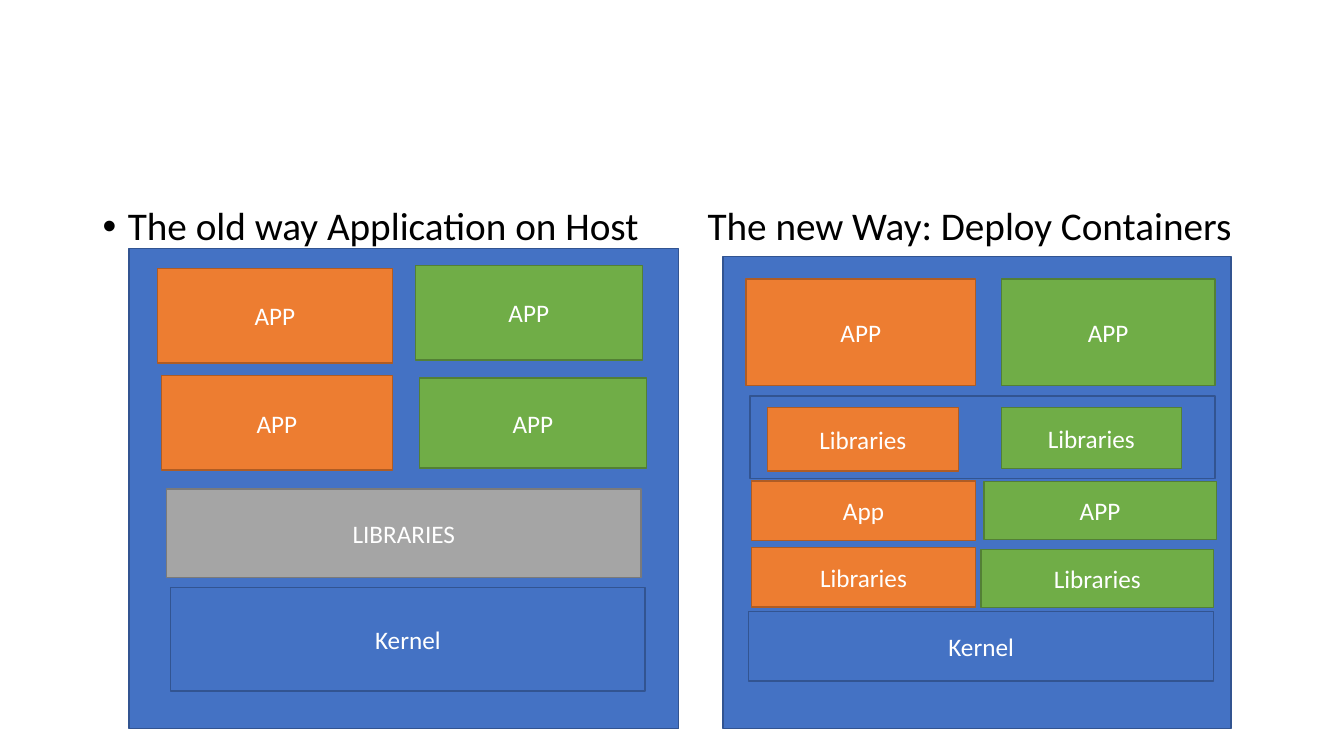
import dataclasses

import lxml.etree
import pptx
import pptx.dml.color
import pptx.enum.shapes
import pptx.enum.text
import pptx.oxml.ns
import pptx.util


@dataclasses.dataclass(frozen=True)
class Theme:
    """Colours, type and line sizes of the slide."""

    font: str = "Calibri"
    heading_size: int = 28
    label_size: int = 18
    line_width: int = 1
    ink: str = "000000"
    paper: str = "FFFFFF"
    blue: tuple = ("4472C4", "325491")
    orange: tuple = ("ED7D31", "AF5C24")
    green: tuple = ("70AD47", "538035")
    grey: tuple = ("A5A5A5", "7A7A7A")


THEME = Theme()
WIDTH = pptx.util.Inches(13.33)
HEIGHT = pptx.util.Inches(7.5)

HEADING_AREA = (6.9, 26.7, 86.2, 72.4)
OLD_WAY = [
    ("", THEME.blue, (9.6, 32.9, 40.9, 63.5)),
    ("APP", THEME.orange, (11.7, 35.5, 17.5, 12.5)),
    ("APP", THEME.green, (30.9, 35.1, 16.9, 12.5)),
    ("APP", THEME.orange, (12, 49.7, 17.2, 12.5)),
    ("APP", THEME.green, (31.2, 50, 16.9, 11.9)),
    ("LIBRARIES", THEME.grey, (12.4, 64.7, 35.3, 11.7)),
    ("Kernel", THEME.blue, (12.7, 77.7, 35.3, 13.7)),
]
NEW_WAY = [
    ("", THEME.blue, (53.8, 33.9, 37.8, 62.5)),
    ("APP", THEME.orange, (55.5, 36.9, 17.1, 14.1)),
    ("APP", THEME.green, (74.5, 36.9, 15.9, 14.1)),
    ("", THEME.blue, (55.8, 52.4, 34.6, 10.9)),
    ("Libraries", THEME.orange, (57.1, 53.9, 14.2, 8.4)),
    ("Libraries", THEME.green, (73, 72.7, 17.3, 7.7)),
    ("Kernel", THEME.blue, (55.7, 80.9, 34.6, 9.2)),
    ("App", THEME.orange, (55.9, 63.6, 16.7, 7.9)),
    ("Libraries", THEME.orange, (55.9, 72.4, 16.7, 7.9)),
    ("APP", THEME.green, (73.2, 63.7, 17.3, 7.7)),
    ("Libraries", THEME.green, (74.5, 53.9, 13.4, 8.1)),
]


def place(area):
    """Turn percentages of the slide into left, top, width and height."""
    return [round(share * side / 100) for share, side in zip(area, (WIDTH, HEIGHT) * 2)]


def colour(code):
    """Return the colour object for a hex code."""
    return pptx.dml.color.RGBColor.from_string(code)


def add_span(para, text, size, code):
    """Add one run in the theme font."""
    span = para.add_run()
    span.text = text
    span.font.name = THEME.font
    span.font.size = pptx.util.Pt(size)
    span.font.color.rgb = colour(code)


def add_child(parent, tag, **attributes):
    """Append a DrawingML element with the given attributes."""
    child = lxml.etree.SubElement(parent, pptx.oxml.ns.qn(tag))
    for name, value in attributes.items():
        child.set(name, str(value))
    return child


def add_heading(page, area, old_title, new_title):
    """Add the bulleted line whose second title starts at a tab stop."""
    box = page.shapes.add_textbox(*place(area))
    box.text_frame.word_wrap = True
    para = box.text_frame.paragraphs[0]
    para.line_spacing = 0.9
    para.space_before = pptx.util.Pt(10)
    indent = pptx.util.Inches(0.25)
    properties = para._p.get_or_add_pPr()
    properties.set("marL", str(indent))
    properties.set("indent", str(-indent))
    add_child(properties, "a:buFont", typeface="Arial")
    add_child(properties, "a:buChar", char="•")
    stops = add_child(properties, "a:tabLst")
    add_child(stops, "a:tab", pos=pptx.util.Inches(6), algn="l")
    add_span(para, old_title + "\t", THEME.heading_size, THEME.ink)
    add_span(para, new_title, THEME.heading_size, THEME.ink)


def add_block(page, label, colours, area):
    """Add a rectangle with a centred label."""
    fill, line = colours
    block = page.shapes.add_shape(
        pptx.enum.shapes.MSO_SHAPE.RECTANGLE, *place(area)
    )
    block.shadow.inherit = False
    block.fill.solid()
    block.fill.fore_color.rgb = colour(fill)
    block.line.color.rgb = colour(line)
    block.line.width = pptx.util.Pt(THEME.line_width)
    if label:
        block.text_frame.vertical_anchor = pptx.enum.text.MSO_ANCHOR.MIDDLE
        para = block.text_frame.paragraphs[0]
        para.alignment = pptx.enum.text.PP_ALIGN.CENTER
        add_span(para, label, THEME.label_size, THEME.paper)


def main():
    """Build the slide and save the deck."""
    deck = pptx.Presentation()
    deck.slide_width, deck.slide_height = WIDTH, HEIGHT
    page = deck.slides.add_slide(deck.slide_layouts[6])
    add_heading(
        page,
        HEADING_AREA,
        "The old way Application on Host",
        "The new Way: Deploy Containers",
    )
    for label, colours, area in OLD_WAY + NEW_WAY:
        add_block(page, label, colours, area)
    deck.save("out.pptx")


main()
